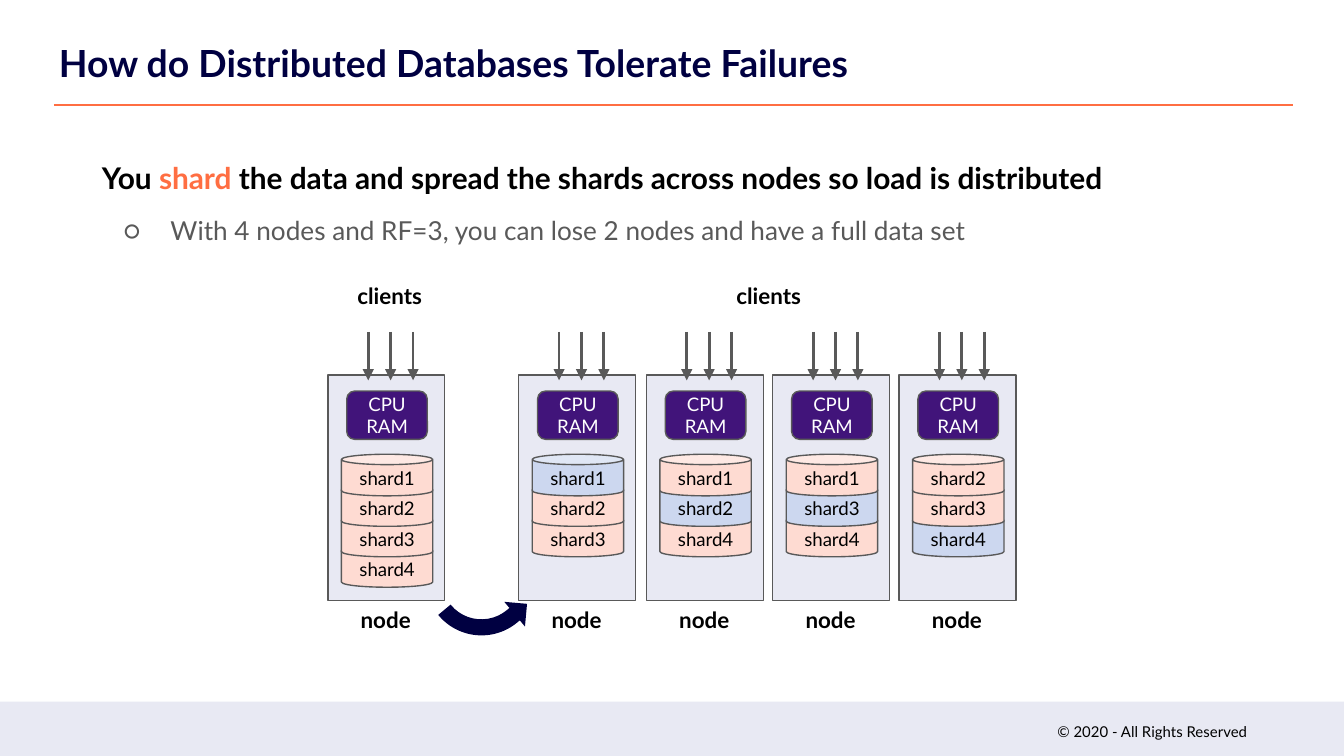
"""Build a slide on how sharding lets distributed databases tolerate failures."""
from lxml import etree
from pptx import Presentation, util as u
from pptx.dml.color import RGBColor
from pptx.enum import shapes, text
from pptx.oxml import ns

NAVY, ORANGE, GREY, BLACK = "000041", "FF6E42", "595959", "000000"
LAVENDER, PURPLE, PINK, BLUE = "E8E9F3", "41147A", "FEDBD2", "CCD7EF"
LEFT, CENTER, RIGHT = text.PP_ALIGN.LEFT, text.PP_ALIGN.CENTER, text.PP_ALIGN.RIGHT
TOP, MIDDLE = text.MSO_ANCHOR.TOP, text.MSO_ANCHOR.MIDDLE
KINDS = shapes.MSO_SHAPE
color = RGBColor.from_string

deck = Presentation()
deck.slide_width, deck.slide_height = u.Inches(10), u.Inches(5.625)
page = deck.slides.add_slide(deck.slide_layouts[6])


def add_box(place, words="", size=10, ink=BLACK, bold=False, align=CENTER,
            anchor=MIDDLE, kind=None, fill=None, outline=GREY):
    """Add a text box, or a filled shape when a kind is given."""
    place = [u.Inches(value) for value in place]
    if kind is None:
        box = page.shapes.add_textbox(*place)
    else:
        box = page.shapes.add_shape(kind, *place)
        box.shadow.inherit = False
        box.fill.solid()
        box.fill.fore_color.rgb = color(fill)
        if outline:
            box.line.color.rgb = color(outline)
            box.line.width = u.Pt(0.75)
        else:
            box.line.fill.background()
    frame = box.text_frame
    frame.word_wrap = True
    frame.vertical_anchor = anchor
    frame.margin_left = frame.margin_right = u.Inches(0.1)
    frame.margin_top = frame.margin_bottom = u.Inches(0.1)
    para = frame.paragraphs[0]
    para.text = words
    para.alignment = align
    para.font.name, para.font.size, para.font.bold = "Lato", u.Pt(size), bold
    para.font.color.rgb = color(ink)
    return box


def add_line(start, end, ink, width):
    """Add a straight line without a shadow."""
    ends = [u.Inches(value) for value in (*start, *end)]
    line = page.shapes.add_connector(shapes.MSO_CONNECTOR.STRAIGHT, *ends)
    line.line.color.rgb = color(ink)
    line.line.width = u.Pt(width)
    etree.SubElement(line._element.spPr, ns.qn("a:effectLst"))
    return line


add_box((0, 5.22, 10.01, 0.43), kind=KINDS.RECTANGLE, fill=LAVENDER, outline=None)
add_box((7.3, 5.26, 2.08, 0.36), "© 2020 - All Rights Reserved", 8, align=RIGHT)
add_line((0.4, 0.78), (9.62, 0.78), ORANGE, 0.75)
add_box((0.34, 0.2, 9.32, 0.63), "How do Distributed Databases Tolerate Failures",
        20, NAVY, True, LEFT, TOP)

claim = add_box((0.66, 0.88, 8.69, 0.74), size=16, bold=True, align=LEFT)
claim.text_frame.margin_bottom = 0
para = claim.text_frame.paragraphs[0]
para.line_spacing, para.space_after = 1.15, u.Pt(16)
for words, ink in (("You ", BLACK), ("shard", ORANGE),
                   (" the data and spread the shards across nodes so load is distributed", BLACK)):
    span = para.add_run()
    span.text = words
    span.font.color.rgb = color(ink)

detail = add_box((0.67, 1.46, 6.89, 0.54),
                 "With 4 nodes and RF=3, you can lose 2 nodes and have a full data set",
                 14, GREY, align=LEFT, anchor=TOP)
para = detail.text_frame.paragraphs[0]
para.line_spacing = 1.15
settings = para._p.get_or_add_pPr()
settings.set("marL", str(u.Inches(0.5)))
settings.set("indent", str(u.Inches(-0.35)))
typeface = etree.Element(ns.qn("a:buFont"), typeface="Lato")
settings.find(ns.qn("a:lnSpc")).addnext(typeface)
typeface.addnext(etree.Element(ns.qn("a:buChar"), char="○"))

turn = add_box((3.35, 4.34, 0.56, 0.48), kind=KINDS.BENT_ARROW, fill=NAVY, outline=None)
turn.adjustments[3] = 0.867
turn.rotation = 140.1
turn._element.spPr.xfrm.set("flipH", "1")

nodes = ((2.44, (1, 2, 3, 4), None), (3.86, (1, 2, 3), 1), (4.81, (1, 2, 4), 2),
         (5.75, (1, 3, 4), 3), (6.69, (2, 3, 4), 4))
for left, shards, leader in nodes:
    add_box((left, 2.79, 0.87, 1.68), kind=KINDS.RECTANGLE, fill=LAVENDER)
    add_box((left - 0.18, 4.41, 1.22, 0.36), "node", 12, bold=True, anchor=TOP)
    add_box((left + 0.14, 2.91, 0.6, 0.36), "CPU\nRAM", ink="FFFFFF",
            kind=KINDS.ROUNDED_RECTANGLE, fill=PURPLE)
    for row, shard in reversed(list(enumerate(shards))):
        add_box((left + 0.1, 3.38 + 0.68 / 3 * row, 0.68, 0.31), f"shard{shard}",
                kind=KINDS.CAN, fill=BLUE if shard == leader else PINK)
    for step in range(3):
        x = left + 0.3 + 0.5 / 3 * step
        arrow = add_line((x, 2.47), (x, 2.83), GREY, 1.5)
        etree.SubElement(arrow.line._get_or_add_ln(), ns.qn("a:tailEnd"), type="triangle")

for left in (2.52, 5.34):
    add_box((left, 2, 0.76, 0.36), "clients", 12, bold=True, anchor=TOP)

deck.save("out.pptx")
